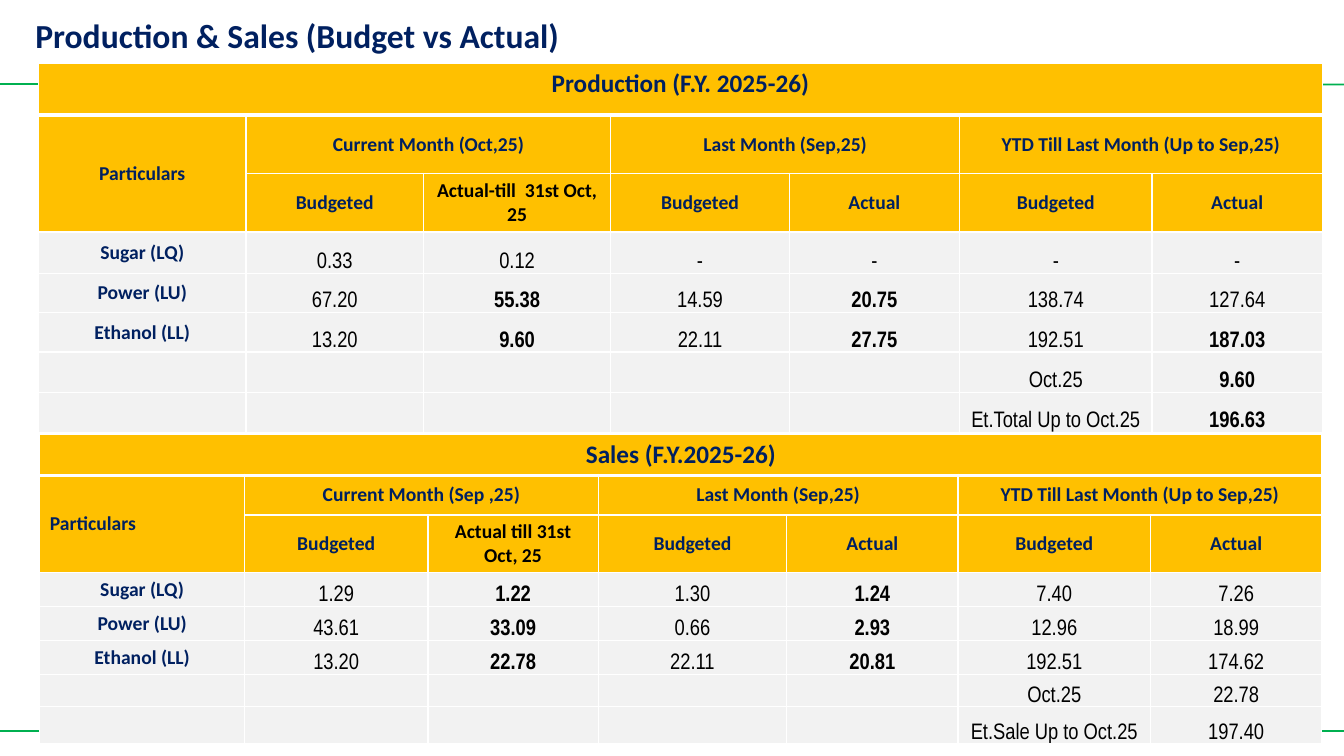
from lxml import etree
from pptx import Presentation
from pptx.dml.color import RGBColor
from pptx.enum import shapes, text
from pptx.oxml import ns
from pptx.util import Pt

NAVY, GOLD, GREY, GREEN = "002060", "FFC000", "F2F2F2", "00B050"
BLACK, WHITE = "000000", "FFFFFF"
MID, LOW, TOP = text.MSO_ANCHOR.MIDDLE, text.MSO_ANCHOR.BOTTOM, text.MSO_ANCHOR.TOP
LEFT, MIDST = text.PP_ALIGN.LEFT, text.PP_ALIGN.CENTER

MADE = [
    ["Production (F.Y. 2025-26)"],
    ["Particulars", "Current Month (Oct,25)", "", "Last Month (Sep,25)", "",
     "YTD Till Last Month (Up to Sep,25)", ""],
    ["", "Budgeted", "Actual-till  31st Oct, 25", "Budgeted", "Actual", "Budgeted", "Actual"],
    ["Sugar (LQ)", "0.33", "0.12", "-", "-", "-", "-"],
    ["Power (LU)", "67.20", "*55.38", "14.59", "*20.75", "138.74", "127.64"],
    ["Ethanol (LL)", "13.20", "*9.60", "22.11", "*27.75", "192.51", "*187.03"],
    ["", "", "", "", "", "Oct.25", "*9.60"],
    ["", "", "", "", "", "Et.Total Up to Oct.25", "*196.63"],
]
SOLD = [
    ["Sales (F.Y.2025-26)"],
    ["Particulars", "Current Month (Sep ,25)", "", "Last Month (Sep,25)", "",
     "YTD Till Last Month (Up to Sep,25)", ""],
    ["", "Budgeted", "Actual till 31st Oct, 25", "Budgeted", "Actual", "Budgeted", "Actual"],
    ["Sugar (LQ)", "1.29", "*1.22", "1.30", "*1.24", "7.40", "7.26"],
    ["Power (LU)", "43.61", "*33.09", "0.66", "*2.93", "12.96", "18.99"],
    ["Ethanol (LL)", "13.20", "*22.78", "22.11", "*20.81", "192.51", "174.62"],
    ["", "", "", "", "", "Oct.25", "22.78"],
    ["", "", "", "", "", "Et.Sale Up to Oct.25", "197.40"],
]


def tint(code):
    return RGBColor.from_string(code)


def style(part, size, face, code, bold):
    for run in part.runs:
        font = run.font
        font.size, font.name, font.bold = Pt(size), face, bold
        font.color.rgb = tint(code)


def draw_rule(slide, top, end):
    rule = slide.shapes.add_connector(
        shapes.MSO_CONNECTOR.STRAIGHT, 0, Pt(top), Pt(960), Pt(end))
    rule.line.color.rgb = tint(GREEN)
    rule.line.width = Pt(1.25)
    etree.SubElement(rule._element.spPr, ns.qn("a:effectLst"))


def set_title(slide, words):
    title = slide.shapes.title
    title.left, title.top, title.width, title.height = Pt(18), Pt(7.2), Pt(486), Pt(36)
    frame = title.text_frame
    frame.text = words
    frame.vertical_anchor = MID
    frame.paragraphs[0].alignment = LEFT
    style(frame.paragraphs[0], 24, "Calibri", NAVY, True)


def edge(cell, row):
    props = cell._tc.get_or_add_tcPr()
    thick = {(0, "lnB"), (1, "lnT")}
    for spot, side in enumerate(("lnL", "lnR", "lnT", "lnB")):
        width = 3 if (row, side) in thick else 1
        line = etree.Element(ns.qn("a:" + side), w=str(Pt(width)))
        fill = etree.SubElement(line, ns.qn("a:solidFill"))
        etree.SubElement(fill, ns.qn("a:srgbClr"), val=WHITE)
        props.insert(spot, line)


def fill_cell(cell, words, row, col):
    head = row < 3
    cell.fill.solid()
    cell.fill.fore_color.rgb = tint(GOLD if head else GREY)
    edge(cell, row)
    label = head or col == 0
    if not words or not label:
        cell.margin_left = cell.margin_right = cell.margin_top = Pt(0.72)
        cell.margin_bottom = 0
    if not words:
        return
    cell.vertical_anchor = MID if label else LOW
    cell.text_frame.text = words.lstrip("*")
    line = cell.text_frame.paragraphs[0]
    line.alignment = MIDST
    if label:
        code = BLACK if (row, col) == (2, 2) else NAVY
        style(line, 14 if row else 18, "Calibri", code, True)
    else:
        style(line, 16, "Arial Narrow", BLACK, words.startswith("*"))


def add_grid(slide, left, top, wide, tall, data):
    frame = slide.shapes.add_table(
        len(tall), len(wide), Pt(left), Pt(top), Pt(sum(wide)), Pt(sum(tall)))
    grid = frame.table
    for col, width in enumerate(wide):
        grid.columns[col].width = Pt(width)
    for row, height in enumerate(tall):
        grid.rows[row].height = Pt(height)
        for col in range(len(wide)):
            words = data[row][col] if col < len(data[row]) else ""
            fill_cell(grid.cell(row, col), words, row, col)
    grid.cell(0, 0).merge(grid.cell(0, 6))
    grid.cell(1, 0).merge(grid.cell(2, 0))
    for col in (1, 3, 5):
        grid.cell(1, col).merge(grid.cell(1, col + 1))
    return grid


def main():
    deck = Presentation()
    deck.slide_width, deck.slide_height = Pt(960), Pt(540)
    slide = deck.slides.add_slide(deck.slide_layouts[5])
    set_title(slide, "Production & Sales (Budget vs Actual)")
    draw_rule(slide, 60, 60.3)
    draw_rule(slide, 522, 522)
    sales = add_grid(slide, 28.5, 310.5,
                     [146.2, 131, 121.7, 134.6, 122.4, 137.5, 122.4],
                     [27.4, 28.1, 38.9, 23.8, 23, 23, 23, 26.6], SOLD)
    sales.cell(1, 0).text_frame.paragraphs[0].alignment = LEFT
    made = add_grid(slide, 27.5, 45.5,
                    [148.3, 126.7, 133.9, 127.4, 121.7, 137.5, 121.7],
                    [36.7, 41.8, 41.8, 29.5, 28.1, 28.1, 28.8, 28.8], MADE)
    made.cell(0, 0).vertical_anchor = TOP
    deck.save("out.pptx")


if __name__ == "__main__":
    main()
